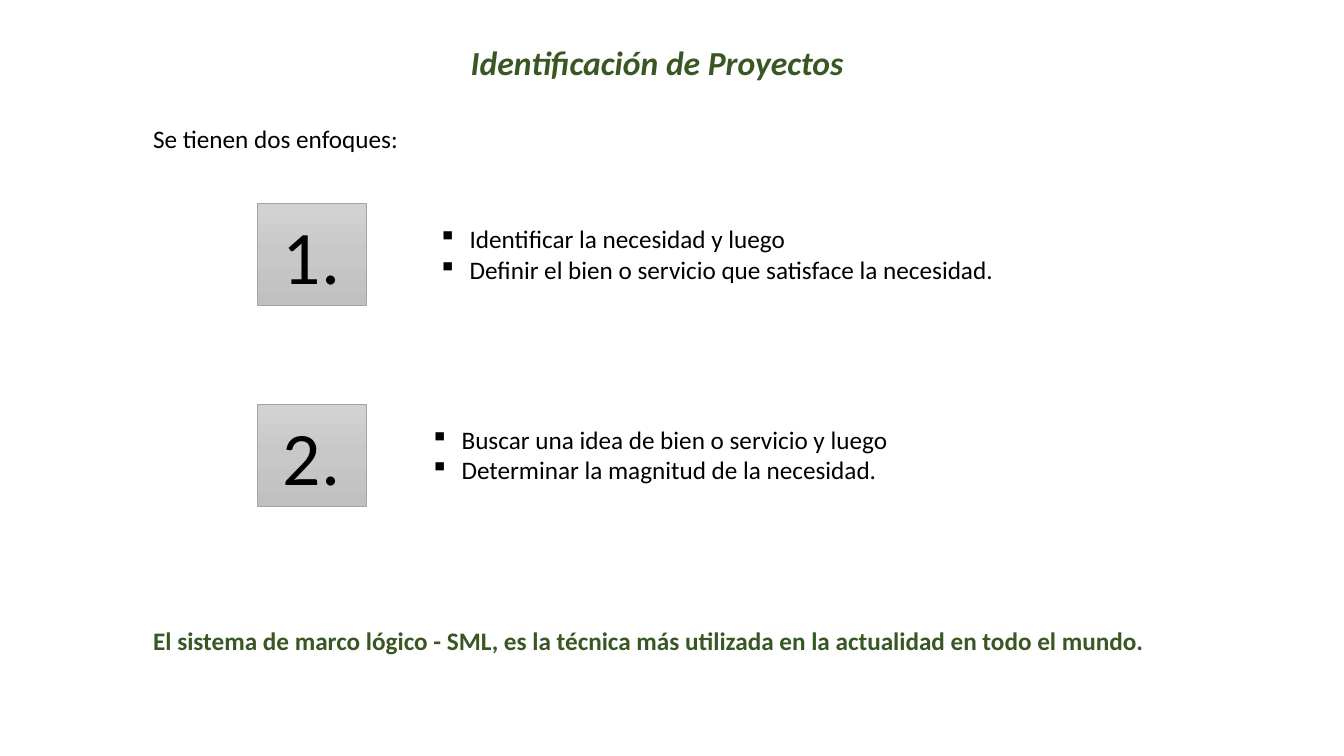
"""Build the slide on the two approaches to identifying projects."""
from copy import deepcopy

from pptx import Presentation
from pptx.dml.color import RGBColor
from pptx.enum.shapes import MSO_SHAPE
from pptx.enum.text import MSO_ANCHOR, MSO_AUTO_SIZE, PP_ALIGN
from pptx.oxml.ns import qn
from pptx.util import Inches, Pt

TITLE = "Identificación de Proyectos"
INTRO = "Se tienen dos enfoques:"
CLOSING = ("El sistema de marco lógico - SML, es la técnica más utilizada "
           "en la actualidad en todo el mundo.")
APPROACHES = [
    ("1.", 4.25, ["Identificar la necesidad y luego",
                  "Definir el bien o servicio que satisface la necesidad."]),
    ("2.", 4.17, ["Buscar una idea de bien o servicio y luego",
                  "Determinar la magnitud de la necesidad."]),
]
GREEN, BLACK, BORDER = "385723", "000000", "A5A5A5"
GRADIENT = [(0, "D2D2D2"), (0.5, "C8C8C8"), (1, "C0C0C0")]
MARGIN = 1.42
NUMBER_LEFT, NUMBER_WIDTH, NUMBER_HEIGHT = 2.55, 1.08, 1.01
STEPS_WIDTH, STEPS_HEIGHT = 5.93, 0.71
FIRST_ROW, ROW_PITCH = 2.02, 1.99


def color(value):
    return RGBColor.from_string(value)


def write(shape, lines, size=18, ink=BLACK, bold=False, italic=False,
          align=PP_ALIGN.LEFT, bullet=None):
    frame = shape.text_frame
    frame.word_wrap = True
    frame.auto_size = MSO_AUTO_SIZE.SHAPE_TO_FIT_TEXT
    frame.text = "\n".join(lines)
    for paragraph in frame.paragraphs:
        paragraph.alignment = align
        font = paragraph.runs[0].font
        font.name, font.size = "Calibri", Pt(size)
        font.bold, font.italic = bold, italic
        font.color.rgb = color(ink)
        if bullet:
            properties = paragraph._p.get_or_add_pPr()
            properties.set("marL", str(Inches(0.31)))
            properties.set("indent", str(-Inches(0.31)))
            properties.makeelement(qn("a:buChar"))
            mark = properties.makeelement(qn("a:buChar"), {"char": bullet})
            properties.append(mark)


def add_text(slide, box, lines, **style):
    write(slide.shapes.add_textbox(*map(Inches, box)), lines, **style)


def add_number(slide, box, number):
    square = slide.shapes.add_shape(MSO_SHAPE.RECTANGLE, *map(Inches, box))
    square.shadow.inherit = False
    square.line.color.rgb = color(BORDER)
    square.line.width = Pt(0.5)
    square.fill.gradient()
    square.fill.gradient_angle = 270
    stops = square._element.spPr.find(qn("a:gradFill")).find(qn("a:gsLst"))
    stops.insert(1, deepcopy(stops[0]))
    for stop, (position, shade) in zip(square.fill.gradient_stops, GRADIENT):
        stop.position = position
        stop.color.rgb = color(shade)
    square.text_frame.vertical_anchor = MSO_ANCHOR.MIDDLE
    write(square, [number], size=54, align=PP_ALIGN.CENTER)


def main():
    deck = Presentation()
    deck.slide_width, deck.slide_height = Inches(13.33), Inches(7.5)
    slide = deck.slides.add_slide(deck.slide_layouts[6])

    add_text(slide, (4.57, 0.37, 4.12, 0.5), [TITLE],
             size=24, ink=GREEN, bold=True, italic=True)
    add_text(slide, (MARGIN, 1.17, 5.05, 0.4), [INTRO])
    for row, (number, steps_left, steps) in enumerate(APPROACHES):
        top = FIRST_ROW + row * ROW_PITCH
        add_number(slide, (NUMBER_LEFT, top, NUMBER_WIDTH, NUMBER_HEIGHT), number)
        steps_top = top + (NUMBER_HEIGHT - STEPS_HEIGHT) / 2
        add_text(slide, (steps_left, steps_top, STEPS_WIDTH, STEPS_HEIGHT), steps,
                 align=PP_ALIGN.JUSTIFY, bullet="▪")
    add_text(slide, (MARGIN, 6.15, 10.69, 0.4), [CLOSING], ink=GREEN, bold=True)
    deck.save("out.pptx")


if __name__ == "__main__":
    main()
